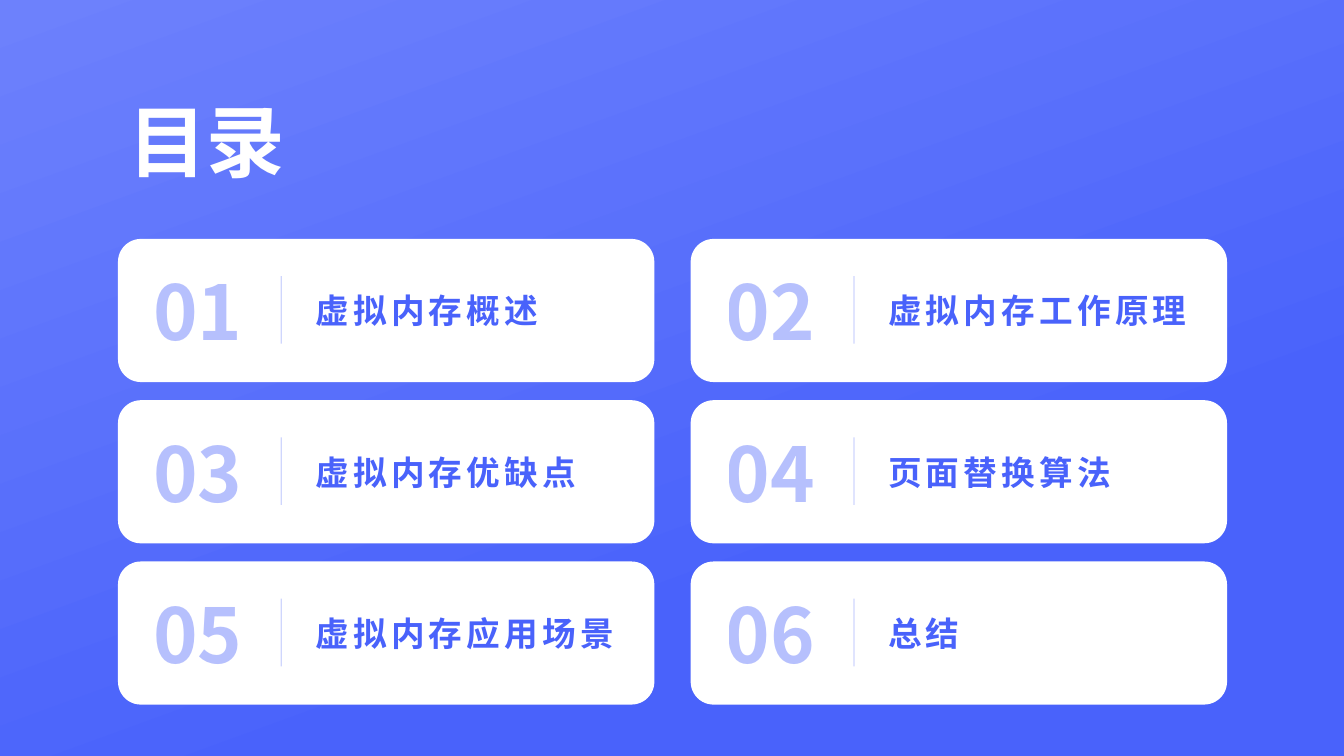
from lxml import etree
from pptx import Presentation
from pptx.dml.color import RGBColor
from pptx.enum import shapes, text
from pptx.oxml import ns
from pptx.util import Inches, Pt

COLORS = {"sky": "6D81FC", "blue": "4962FB", "white": "FFFFFF"}
FONT = "Noto Sans CJK SC"
TOPICS = ["虚拟内存概述", "虚拟内存工作原理", "虚拟内存优缺点",
          "页面替换算法", "虚拟内存应用场景", "总结"]
COLUMNS = 2
LEFT, TOP = 1.17, 2.37
COLUMN_STEP, ROW_STEP = 5.68, 1.6
CARD_W, CARD_H = 5.32, 1.42


def rgb(name):
    return RGBColor.from_string(COLORS[name])


def set_alpha(parent, percent):
    color = next(parent.iter(ns.qn("a:srgbClr")))
    etree.SubElement(color, ns.qn("a:alpha")).set("val", str(percent * 1000))


def add_background(s, width, height):
    sp = s.shapes.add_shape(shapes.MSO_SHAPE.RECTANGLE, 0, 0, width, height)
    sp.shadow.inherit = False
    sp.line.fill.background()
    sp.fill.gradient()
    sp.fill.gradient_angle = 290
    for stop, name, position in zip(sp.fill.gradient_stops, ("sky", "blue"), (0, 0.7)):
        stop.color.rgb = rgb(name)
        stop.position = position


def add_text(s, x, y, w, h, content, size, color, font=FONT, wrap=True,
             anchor=text.MSO_ANCHOR.MIDDLE, align=text.PP_ALIGN.LEFT,
             alpha=None, spacing=None):
    tf = s.shapes.add_textbox(Inches(x), Inches(y), Inches(w), Inches(h)).text_frame
    tf.margin_left = tf.margin_top = tf.margin_right = tf.margin_bottom = 0
    tf.word_wrap = wrap
    tf.vertical_anchor = anchor
    tf.text = content
    p = tf.paragraphs[0]
    p.alignment = align
    r = p.runs[0]
    r.font.name = font
    r.font.size = Pt(size)
    r.font.bold = True
    r.font.color.rgb = rgb(color)
    rpr = r.font._element
    etree.SubElement(rpr, ns.qn("a:ea")).set("typeface", FONT)
    if alpha:
        set_alpha(rpr, alpha)
    if spacing:
        rpr.set("spc", str(spacing * 100))


def add_card(s, x, y):
    sp = s.shapes.add_shape(shapes.MSO_SHAPE.ROUNDED_RECTANGLE,
                            Inches(x), Inches(y), Inches(CARD_W), Inches(CARD_H))
    sp.adjustments[0] = 0.16
    sp.shadow.inherit = False
    sp.fill.solid()
    sp.fill.fore_color.rgb = rgb("white")
    sp.line.fill.background()


def add_divider(s, x, y, length):
    line = s.shapes.add_connector(shapes.MSO_CONNECTOR.STRAIGHT, Inches(x), Inches(y),
                                  Inches(x), Inches(y + length))
    line.line.color.rgb = rgb("blue")
    line.line.width = Pt(1)
    sppr = line._element.spPr
    set_alpha(sppr, 25)
    etree.SubElement(sppr, ns.qn("a:effectLst"))


def add_topic(s, index, topic):
    row, column = divmod(index, COLUMNS)
    x, y = LEFT + column * COLUMN_STEP, TOP + row * ROW_STEP
    add_card(s, x, y)
    add_text(s, x + 0.35, y, 1.34, CARD_H, f"{index + 1:02d}", 54, "blue",
             wrap=False, alpha=40)
    add_divider(s, x + 1.62, y + 0.37, 0.67)
    add_text(s, x + 1.96, y, 3, CARD_H, topic, 24, "blue", spacing=3)


def main():
    prs = Presentation()
    prs.slide_width, prs.slide_height = Inches(13.33), Inches(7.5)
    s = prs.slides.add_slide(prs.slide_layouts[6])
    add_background(s, prs.slide_width, prs.slide_height)
    add_text(s, 0.92, 0.45, 1.91, 1.41, "目录", 56, "white", font="Arial",
             anchor=text.MSO_ANCHOR.BOTTOM, align=text.PP_ALIGN.RIGHT)
    for index, topic in enumerate(TOPICS):
        add_topic(s, index, topic)
    prs.save("out.pptx")


if __name__ == "__main__":
    main()
